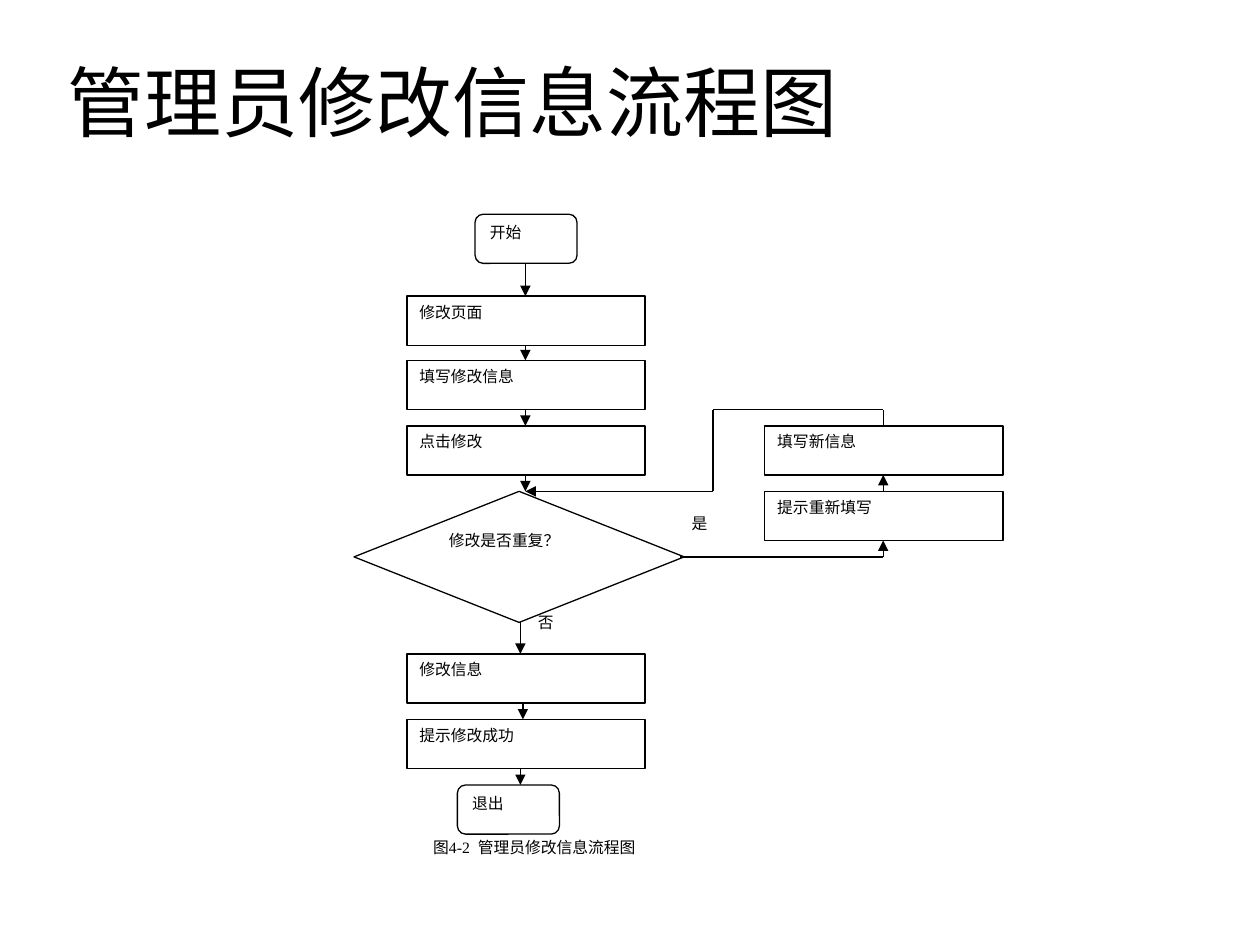
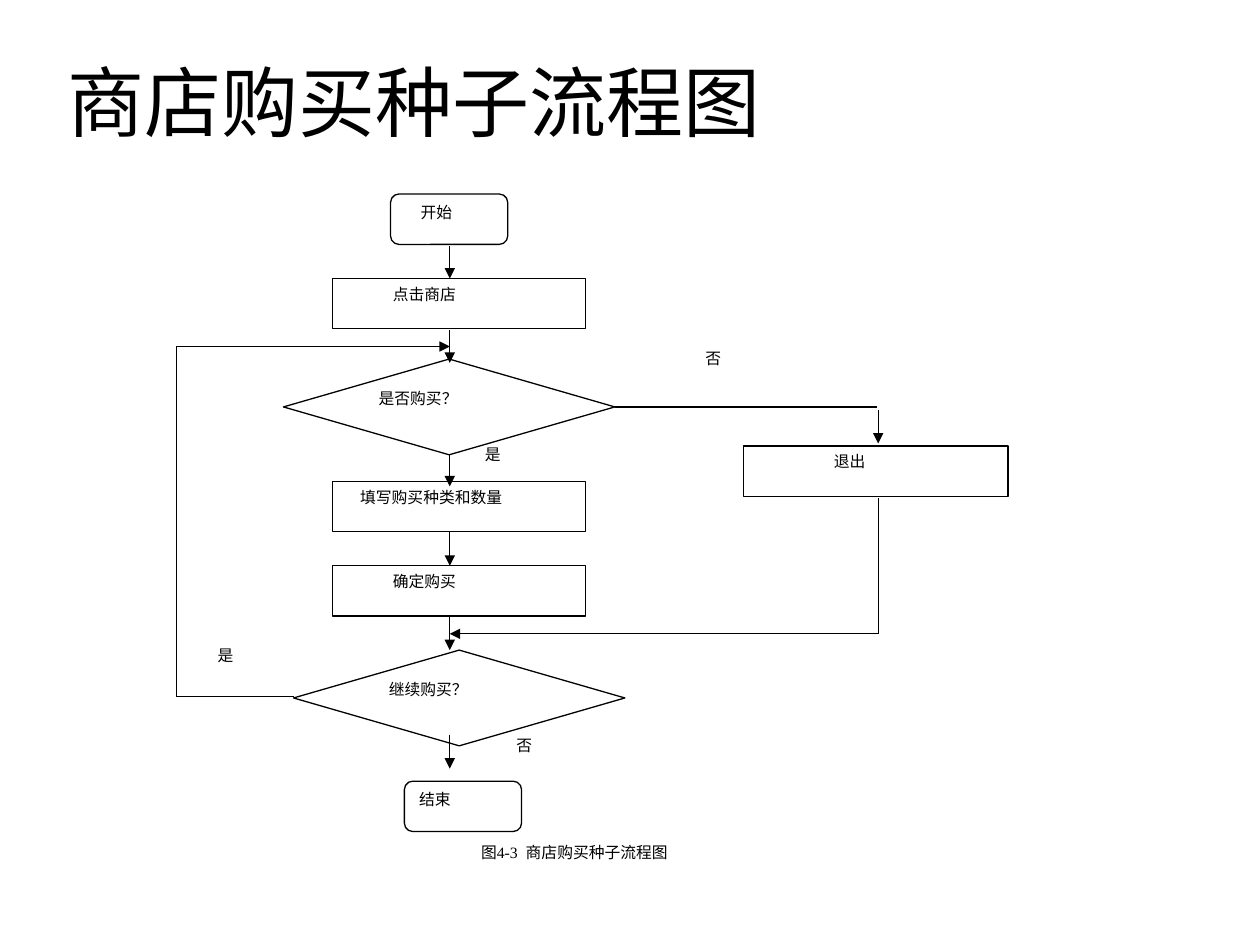
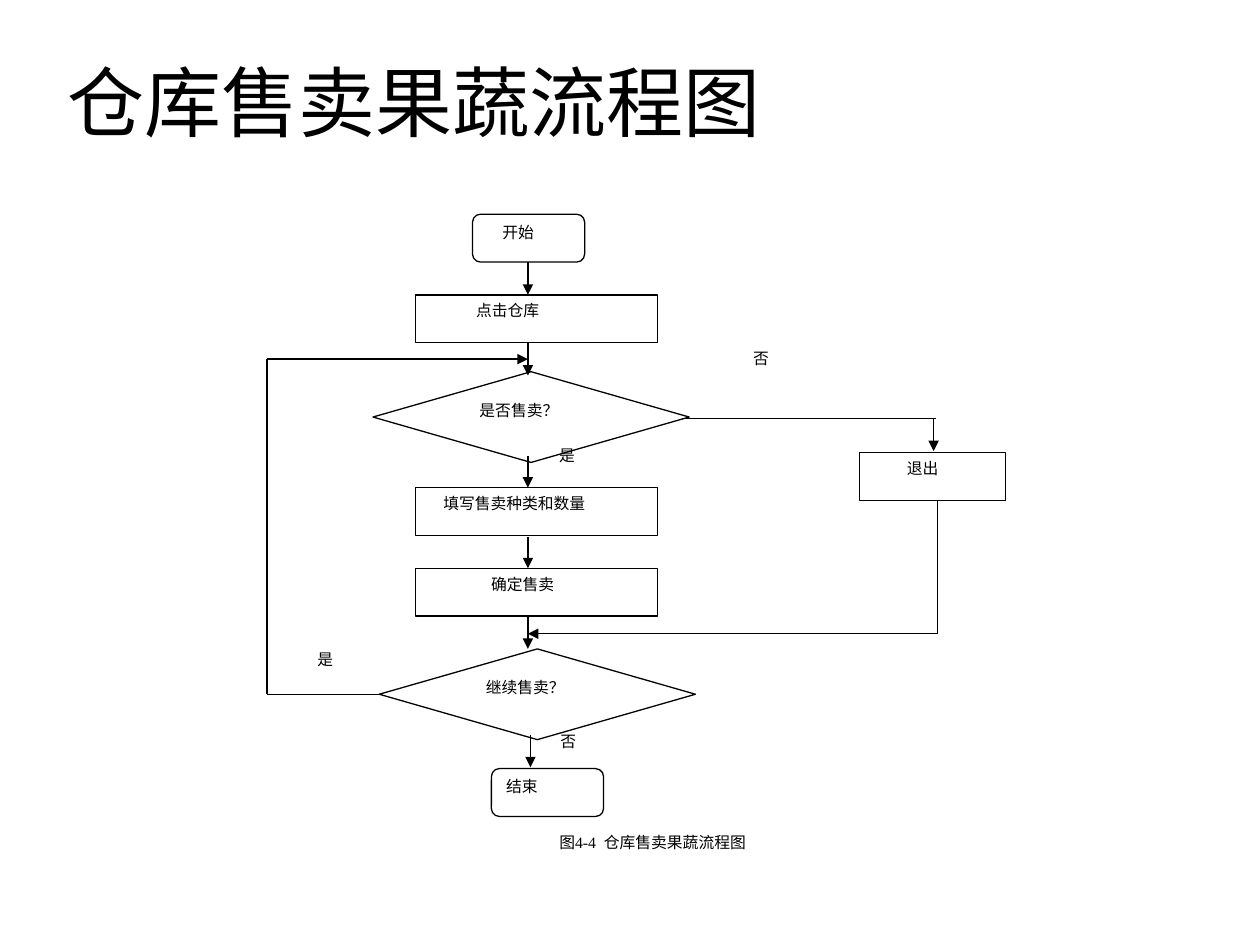
"""Build three flowchart slides: editing records, buying seeds, selling produce."""
from dataclasses import dataclass

from lxml import etree
from pptx import Presentation
from pptx.dml.color import RGBColor
from pptx.enum import lang, shapes, text
from pptx.oxml import ns
from pptx.util import Inches, Pt

INK = RGBColor(0x00, 0x00, 0x00)
PAPER = RGBColor(0xFF, 0xFF, 0xFF)
TITLE_FONT, TITLE_SIZE = "Calibri", 44
BODY_FONT, BODY_SIZE = "Times New Roman", 9
LINE_WIDTH = 0.75
TITLE_AREA = (0.44, 0.12, 8.62, 1.45)

TERMINAL = shapes.MSO_SHAPE.FLOWCHART_ALTERNATE_PROCESS
STEP = shapes.MSO_SHAPE.RECTANGLE
DECISION = shapes.MSO_SHAPE.FLOWCHART_DECISION
JUSTIFY = text.PP_ALIGN.JUSTIFY


@dataclass
class Flowchart:
    """Content of one slide; nodes are (x, y, label, indent)."""
    title: str
    caption: str
    caption_area: tuple
    row_height: float
    terminal_width: float
    terminals: list
    step_column: tuple
    steps: list
    side_column: tuple
    side_steps: list
    decision_size: tuple
    decisions: list
    spine: list
    arrows: list
    lines: list
    answer_width: float
    answers: list
    caption_align: int = JUSTIFY


EDIT = Flowchart(
    title="管理员修改信息流程图",
    caption="图4-2  管理员修改信息流程图",
    caption_area=(3.09, 6.6, 2.3),
    caption_align=text.PP_ALIGN.CENTER,
    row_height=0.39,
    terminal_width=0.81,
    terminals=[(3.77, 1.7, "开始", 0), (3.63, 6.23, "退出", 0)],
    step_column=(3.23, 1.89),
    steps=[(2.35, "修改页面", 0), (2.86, "填写修改信息", 0), (3.38, "点击修改", 0),
           (5.19, "修改信息", 0), (5.71, "提示修改成功", 0)],
    side_column=(6.07, 1.89),
    side_steps=[(3.38, "填写新信息", 0), (3.9, "提示重新填写", 0)],
    decision_size=(2.62, 1.04),
    decisions=[(2.81, 3.9, "修改是否重复？", 0)],
    spine=[(4.17, 2.09, 2.35), (4.17, 2.74, 2.86), (4.17, 3.25, 3.38),
           (4.17, 3.77, 3.9), (4.13, 4.94, 5.19), (4.15, 5.58, 5.71),
           (4.13, 6.1, 6.23)],
    arrows=[[(5.4, 4.42), (7.01, 4.42), (7.01, 4.29)],
            [(7.01, 3.9), (7.01, 3.77)],
            [(7.01, 3.38), (7.01, 3.25), (5.66, 3.25), (5.66, 3.9), (4.17, 3.9)]],
    lines=[],
    answer_width=0.41,
    answers=[(4.17, 4.81, "否"), (5.39, 4.03, "是")],
)

BUY = Flowchart(
    title="商店购买种子流程图",
    caption="图4-3  商店购买种子流程图",
    caption_area=(3.72, 6.64, 2.63),
    row_height=0.4,
    terminal_width=0.93,
    terminals=[(3.1, 1.54, "开始", 0.12), (3.21, 6.2, "结束", 0)],
    step_column=(2.64, 2.01),
    steps=[(2.21, "点击商店", 0.38), (3.82, "填写购买种类和数量", 0.12),
           (4.49, "确定购买", 0.38)],
    side_column=(5.9, 2.1),
    side_steps=[(3.54, "退出", 0.62)],
    decision_size=(2.63, 0.76),
    decisions=[(2.25, 2.85, "是否购买？", 0), (2.33, 5.16, "继续购买？", 0)],
    spine=[(3.57, 1.95, 2.21), (3.57, 2.62, 2.88), (3.57, 3.61, 3.86),
           (3.57, 4.22, 4.49), (3.57, 4.89, 5.16), (3.57, 5.83, 6.1)],
    arrows=[[(2.33, 5.53), (1.4, 5.53), (1.4, 2.75), (3.57, 2.75)],
            [(6.97, 3.25), (6.97, 3.52)],
            [(6.97, 3.95), (6.97, 5.03), (3.57, 5.03)]],
    lines=[[(4.88, 3.23), (6.96, 3.23)]],
    answer_width=0.46,
    answers=[(5.5, 2.72, "否"), (3.75, 3.48, "是"), (1.63, 5.08, "是"),
             (4, 5.79, "否")],
)

SELL = Flowchart(
    title="仓库售卖果蔬流程图",
    caption="图4-4  仓库售卖果蔬流程图",
    caption_area=(4.34, 6.56, 2.51),
    row_height=0.38,
    terminal_width=0.89,
    terminals=[(3.75, 1.7, "开始", 0.12), (3.9, 6.1, "结束", 0)],
    step_column=(3.3, 1.92),
    steps=[(2.34, "点击仓库", 0.38), (3.87, "填写售卖种类和数量", 0.12),
           (4.51, "确定售卖", 0.5)],
    side_column=(6.82, 1.16),
    side_steps=[(3.59, "退出", 0.28)],
    decision_size=(2.51, 0.72),
    decisions=[(2.96, 2.95, "是否售卖？", 0.12), (3.01, 5.15, "继续售卖？", 0.12)],
    spine=[(4.19, 2.08, 2.34), (4.19, 2.72, 2.98), (4.19, 3.62, 3.87),
           (4.19, 4.26, 4.51), (4.19, 4.9, 5.15), (4.21, 5.83, 6.09)],
    arrows=[[(3.01, 5.51), (2.12, 5.51), (2.12, 2.85), (4.19, 2.85)],
            [(7.41, 3.32), (7.41, 3.58)],
            [(7.44, 3.98), (7.44, 5.03), (4.19, 5.03)]],
    lines=[[(5.41, 3.32), (7.43, 3.32)]],
    answer_width=0.44,
    answers=[(5.88, 2.72, "否"), (4.34, 3.49, "是"), (2.42, 5.11, "是"),
             (4.35, 5.76, "否")],
)


def write(shape, words, font=BODY_FONT, size=BODY_SIZE, align=JUSTIFY, indent=0):
    """Fill a shape with one formatted paragraph and return the paragraph."""
    frame = shape.text_frame
    frame.text = words
    frame.word_wrap = True
    frame.vertical_anchor = text.MSO_ANCHOR.TOP
    paragraph = frame.paragraphs[0]
    paragraph.alignment = align
    if indent:
        properties = paragraph._p.get_or_add_pPr()
        properties.set("marL", "0")
        properties.set("indent", str(Inches(indent)))
    for run in paragraph.runs:
        run.font.name = font
        run.font.size = Pt(size)
        run.font.color.rgb = INK
        run.font.language_id = lang.MSO_LANGUAGE_ID.SIMPLIFIED_CHINESE
    return paragraph


def add_title(slide, words):
    """Add the slide title."""
    title = slide.shapes.add_textbox(*map(Inches, TITLE_AREA))
    paragraph = write(title, words, TITLE_FONT, TITLE_SIZE, text.PP_ALIGN.LEFT)
    paragraph.line_spacing = 0.9
    title.text_frame.vertical_anchor = text.MSO_ANCHOR.MIDDLE


def add_label(slide, area, words, align=JUSTIFY):
    """Add a small unframed text."""
    write(slide.shapes.add_textbox(*map(Inches, area)), words, align=align)


def add_node(slide, outline, area, words, indent):
    """Add one outlined flowchart node."""
    node = slide.shapes.add_shape(outline, *map(Inches, area))
    node.shadow.inherit = False
    node.fill.solid()
    node.fill.fore_color.rgb = PAPER
    node.line.color.rgb = INK
    node.line.width = Pt(LINE_WIDTH)
    write(node, words, indent=indent)


def add_route(slide, points, arrow=True):
    """Join the points with straight lines, with an arrowhead at the end if asked."""
    for start, end in zip(points, points[1:]):
        segment = slide.shapes.add_connector(
            shapes.MSO_CONNECTOR.STRAIGHT, *map(Inches, (*start, *end)))
        segment.line.color.rgb = INK
        segment.line.width = Pt(LINE_WIDTH)
        etree.SubElement(segment._element.spPr, ns.qn("a:effectLst"))
    if arrow:
        head = etree.SubElement(segment.line._get_or_add_ln(), ns.qn("a:tailEnd"))
        head.set("type", "triangle")


def add_flowchart(deck, chart):
    """Add a slide that shows one flowchart."""
    slide = deck.slides.add_slide(deck.slide_layouts[6])
    height = chart.row_height
    add_title(slide, chart.title)
    for x, y, words, indent in chart.terminals:
        add_node(slide, TERMINAL, (x, y, chart.terminal_width, height), words, indent)
    for (x, width), steps in ((chart.step_column, chart.steps),
                              (chart.side_column, chart.side_steps)):
        for y, words, indent in steps:
            add_node(slide, STEP, (x, y, width, height), words, indent)
    for x, y, words, indent in chart.decisions:
        add_node(slide, DECISION, (x, y, *chart.decision_size), words, indent)
    for x, top, bottom in chart.spine:
        add_route(slide, [(x, top), (x, bottom)])
    for points in chart.arrows:
        add_route(slide, points)
    for points in chart.lines:
        add_route(slide, points, arrow=False)
    for x, y, words in chart.answers:
        add_label(slide, (x, y, chart.answer_width, height), words)
    add_label(slide, (*chart.caption_area, height), chart.caption, chart.caption_align)


def main():
    """Build and save the deck."""
    deck = Presentation()
    deck.slide_width, deck.slide_height = Inches(10), Inches(7.5)
    for chart in (EDIT, BUY, SELL):
        add_flowchart(deck, chart)
    deck.save("out.pptx")


if __name__ == "__main__":
    main()
